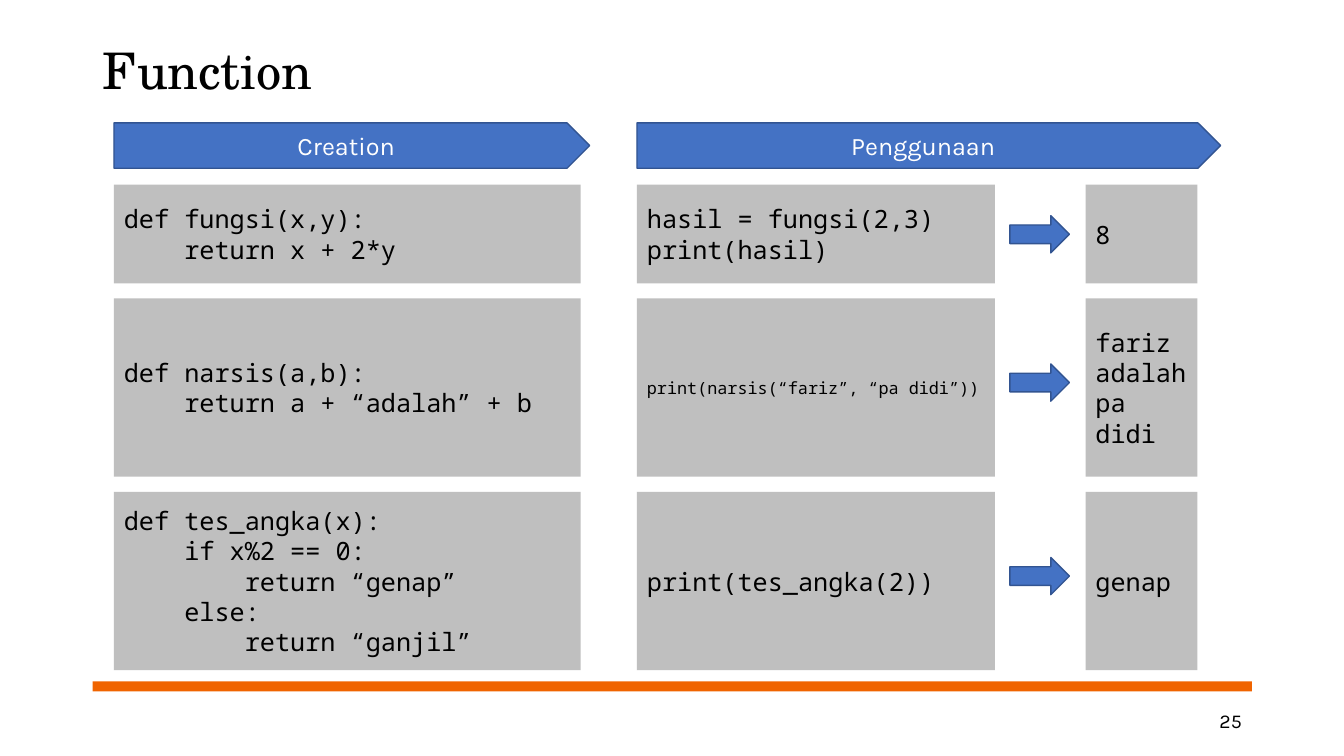
from dataclasses import dataclass

from pptx import Presentation
from pptx.dml.color import RGBColor
from pptx.enum.shapes import MSO_SHAPE
from pptx.enum.text import MSO_ANCHOR, MSO_AUTO_SIZE, PP_ALIGN
from pptx.util import Pt

RECTANGLE = MSO_SHAPE.RECTANGLE
PENTAGON = MSO_SHAPE.PENTAGON
RIGHT_ARROW = MSO_SHAPE.RIGHT_ARROW
MIDDLE = MSO_ANCHOR.MIDDLE
NO_AUTOFIT = MSO_AUTO_SIZE.NONE
LEFT, CENTER, RIGHT = PP_ALIGN.LEFT, PP_ALIGN.CENTER, PP_ALIGN.RIGHT


@dataclass(frozen=True)
class Theme:
    """Colours, fonts and type sizes of the slide."""
    ink: str = "000000"
    light: str = "FFFFFF"
    blue: str = "4472C4"
    outline: str = "325491"
    panel: str = "BFBFBF"
    accent: str = "F06400"
    title_font: str = "TeX Gyre Schola"
    label_font: str = "Karla"
    code_font: str = "Noto Sans Mono"
    title_size: int = 36
    text_size: int = 18
    small_size: int = 12
    number_size: int = 14


THEME = Theme()
MARGIN, CONTENT_WIDTH = 66.2, 828
HEADER_TOP, HEADER_HEIGHT = 87.8, 32.4
ROWS_TOP, ROW_GAP = 131.8, 10.8
CREATION_LEFT, CREATION_WIDTH = 81.4, 333.4
USAGE_LEFT, USAGE_WIDTH = 455, 255.6
RESULT_LEFT, RESULT_WIDTH = 775.4, 79.9
ARROW_LEFT, ARROW_WIDTH, ARROW_HEIGHT = 721.4, 42.5, 26.6
HEADERS = [("Creation", CREATION_LEFT, 339.8), ("Penggunaan", USAGE_LEFT, 416.9)]
ROWS = [
    (70.6, 22.3, "def fungsi(x,y):\n    return x + 2*y",
     "hasil = fungsi(2,3)\nprint(hasil)", THEME.text_size, "8"),
    (127.4, 46.8, "def narsis(a,b):\n    return a + “adalah” + b",
     "print(narsis(“fariz”, “pa didi”))", THEME.small_size, "fariz adalah pa didi"),
    (127.4, 46.8,
     "def tes_angka(x):\n    if x%2 == 0:\n        return “genap”\n"
     "    else:\n        return “ganjil”",
     "print(tes_angka(2))", THEME.text_size, "genap"),
]


def place(item, left, top, width, height):
    """Move and size an item, in points."""
    item.left, item.top = Pt(left), Pt(top)
    item.width, item.height = Pt(width), Pt(height)


def write(item, text, font, size, color=THEME.ink, align=LEFT):
    """Set vertically centred text in one style."""
    frame = item.text_frame
    frame.text = text
    frame.word_wrap = True
    frame.auto_size = NO_AUTOFIT
    frame.vertical_anchor = MIDDLE
    for para in frame.paragraphs:
        para.alignment = align
        for span in para.runs:
            span.font.name = font
            span.font.size = Pt(size)
            span.font.color.rgb = RGBColor.from_string(color)


def add_block(page, kind, left, top, width, height, fill, outline=None):
    """Add a flat preset shape with an optional outline."""
    block = page.shapes.add_shape(kind, Pt(left), Pt(top), Pt(width), Pt(height))
    block.shadow.inherit = False
    block.fill.solid()
    block.fill.fore_color.rgb = RGBColor.from_string(fill)
    if outline:
        block.line.color.rgb = RGBColor.from_string(outline)
        block.line.width = Pt(1)
    else:
        block.line.fill.background()
    return block


def add_title(page, text):
    """Place and style the title placeholder."""
    title = page.shapes.title
    place(title, MARGIN, 17.3, CONTENT_WIDTH, 70.6)
    write(title, text, THEME.title_font, THEME.title_size)
    title.text_frame.paragraphs[0].line_spacing = 0.9


def add_page_number(page, number):
    """Add the page number at the lower right."""
    box = page.shapes.add_textbox(Pt(678.2), Pt(500.4), Pt(216), Pt(28.8))
    write(box, number, THEME.label_font, THEME.number_size, align=RIGHT)


def add_header(page, text, left, width):
    """Add a column header pointing right."""
    header = add_block(page, PENTAGON, left, HEADER_TOP, width, HEADER_HEIGHT,
                       THEME.blue, THEME.outline)
    write(header, text, THEME.label_font, THEME.text_size, THEME.light, CENTER)


def add_code(page, text, left, top, width, height, size=THEME.text_size):
    """Add a grey panel of code."""
    panel = add_block(page, RECTANGLE, left, top, width, height, THEME.panel)
    write(panel, text, THEME.code_font, size)


def add_example(page, top, height, arrow_drop, creation, usage, usage_size, result):
    """Add one row: definition, call, arrow and result."""
    add_code(page, creation, CREATION_LEFT, top, CREATION_WIDTH, height)
    add_code(page, usage, USAGE_LEFT, top, USAGE_WIDTH, height, usage_size)
    add_code(page, result, RESULT_LEFT, top, RESULT_WIDTH, height)
    add_block(page, RIGHT_ARROW, ARROW_LEFT, top + arrow_drop, ARROW_WIDTH,
              ARROW_HEIGHT, THEME.blue, THEME.outline)


def main():
    """Build the slide and save it."""
    deck = Presentation()
    deck.slide_width, deck.slide_height = Pt(960), Pt(540)
    page = deck.slides.add_slide(deck.slide_layouts.get_by_name("Title Only"))
    add_block(page, RECTANGLE, MARGIN, 486.7, CONTENT_WIDTH, 7.2, THEME.accent)
    add_title(page, "Function")
    add_page_number(page, "25")
    for text, left, width in HEADERS:
        add_header(page, text, left, width)
    top = ROWS_TOP
    for height, *example in ROWS:
        add_example(page, top, height, *example)
        top += height + ROW_GAP
    deck.save("out.pptx")


if __name__ == "__main__":
    main()
